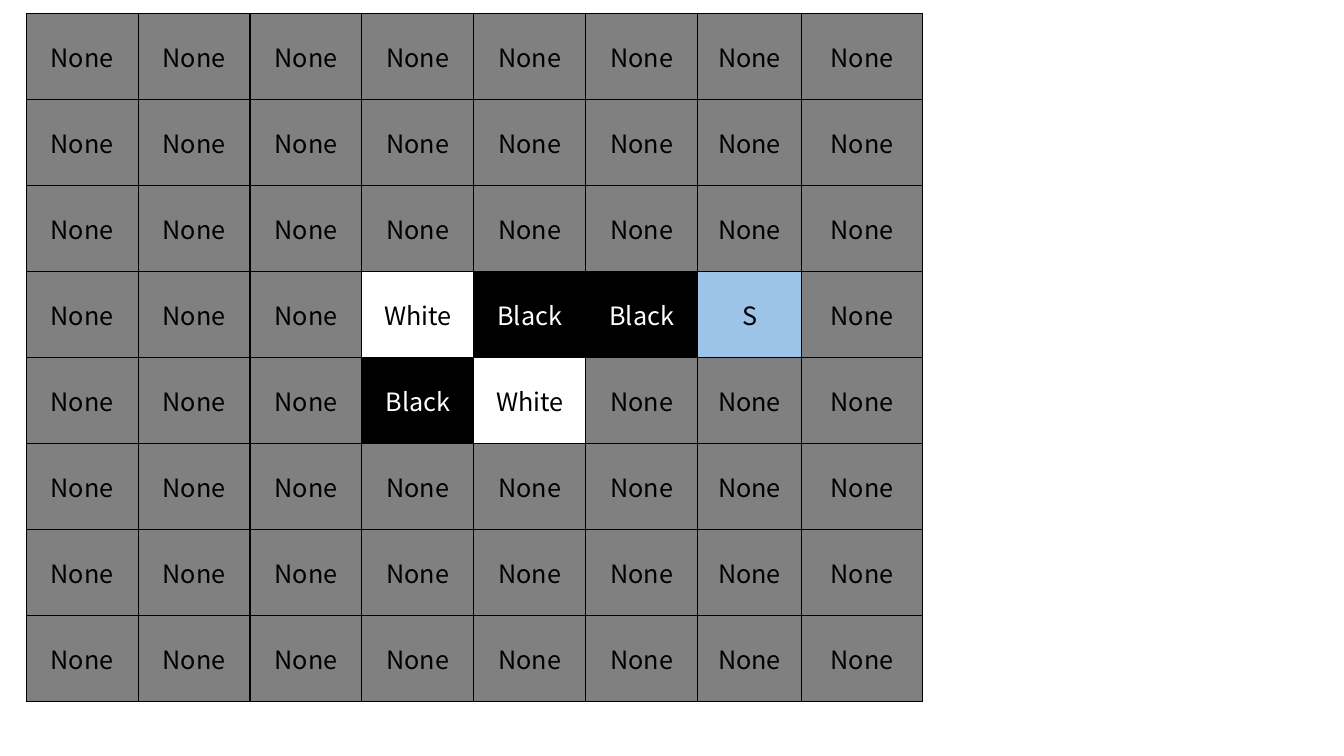
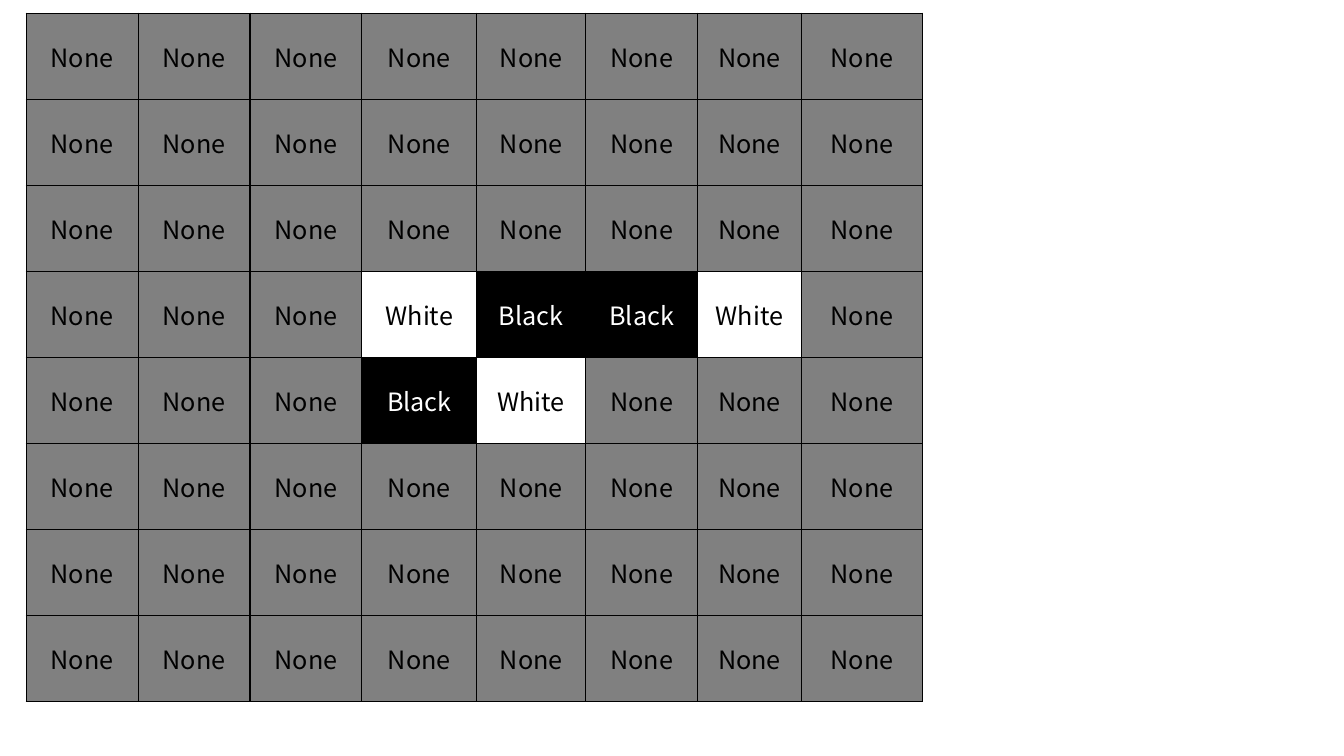
import pptx
import pptx.util
import pptx.dml.color
import pptx.enum.text
import pptx.oxml
import pptx.oxml.ns

Inches = pptx.util.Inches
RGB = pptx.dml.color.RGBColor

BLACK = RGB(0x00, 0x00, 0x00)
WHITE = RGB(0xFF, 0xFF, 0xFF)
GREY = RGB(0x80, 0x80, 0x80)
BLUE = RGB(0x9D, 0xC3, 0xE6)
FONT = "Noto Sans CJK KR"

SIZE = 8
BOX = (0.26, 0.13, 8.89, 6.83)
STYLES = {
    "None": (GREY, BLACK),
    "White": (WHITE, BLACK),
    "Black": (BLACK, WHITE),
    "S": (BLUE, BLACK),
}
START = {
    (3, 3): "White", (3, 4): "Black", (3, 5): "Black",
    (4, 3): "Black", (4, 4): "White",
}
MOVE = (3, 6)
BOARDS = [
    ("S", [1.11] * 6 + [1.03, 1.2]),
    ("White", [1.11] * 3 + [1.14, 1.08, 1.11, 1.03, 1.2]),
]


def write(frame, text, size=18, color=BLACK, font=FONT):
    para = frame.paragraphs[0]
    para.alignment = pptx.enum.text.PP_ALIGN.CENTER
    run = para.add_run()
    run.text = text
    run.font.size = pptx.util.Pt(size)
    run.font.name = font
    run.font.color.rgb = color
    east = pptx.oxml.parse_xml(
        f'<a:ea {pptx.oxml.ns.nsdecls("a")} typeface="{font}"/>')
    run.font._element.append(east)


def border(cell, color=BLACK, width=1):
    props = cell._tc.get_or_add_tcPr()
    for side in "LRTB":
        props.append(pptx.oxml.parse_xml(
            f'<a:ln{side} {pptx.oxml.ns.nsdecls("a")} w="{pptx.util.Pt(width)}">'
            f'<a:solidFill><a:srgbClr val="{color}"/></a:solidFill>'
            f'</a:ln{side}>'))


def square(cell, text):
    back, front = STYLES[text]
    border(cell)
    cell.fill.solid()
    cell.fill.fore_color.rgb = back
    cell.vertical_anchor = pptx.enum.text.MSO_ANCHOR.MIDDLE
    write(cell.text_frame, text, color=front)


def board(slide, box, widths, discs):
    left, top, width, height = map(Inches, box)
    grid = slide.shapes.add_table(SIZE, SIZE, left, top, width, height).table
    grid.first_row = False
    grid.horz_banding = False
    for col, span in zip(grid.columns, widths):
        col.width = Inches(span)
    for row in range(SIZE):
        grid.rows[row].height = height // SIZE
        for col in range(SIZE):
            square(grid.cell(row, col), discs.get((row, col), "None"))


deck = pptx.Presentation()
deck.slide_width = Inches(13.33)
deck.slide_height = Inches(7.5)
for label, widths in BOARDS:
    slide = deck.slides.add_slide(deck.slide_layouts[6])
    board(slide, BOX, widths, {**START, MOVE: label})
deck.save("out.pptx")
